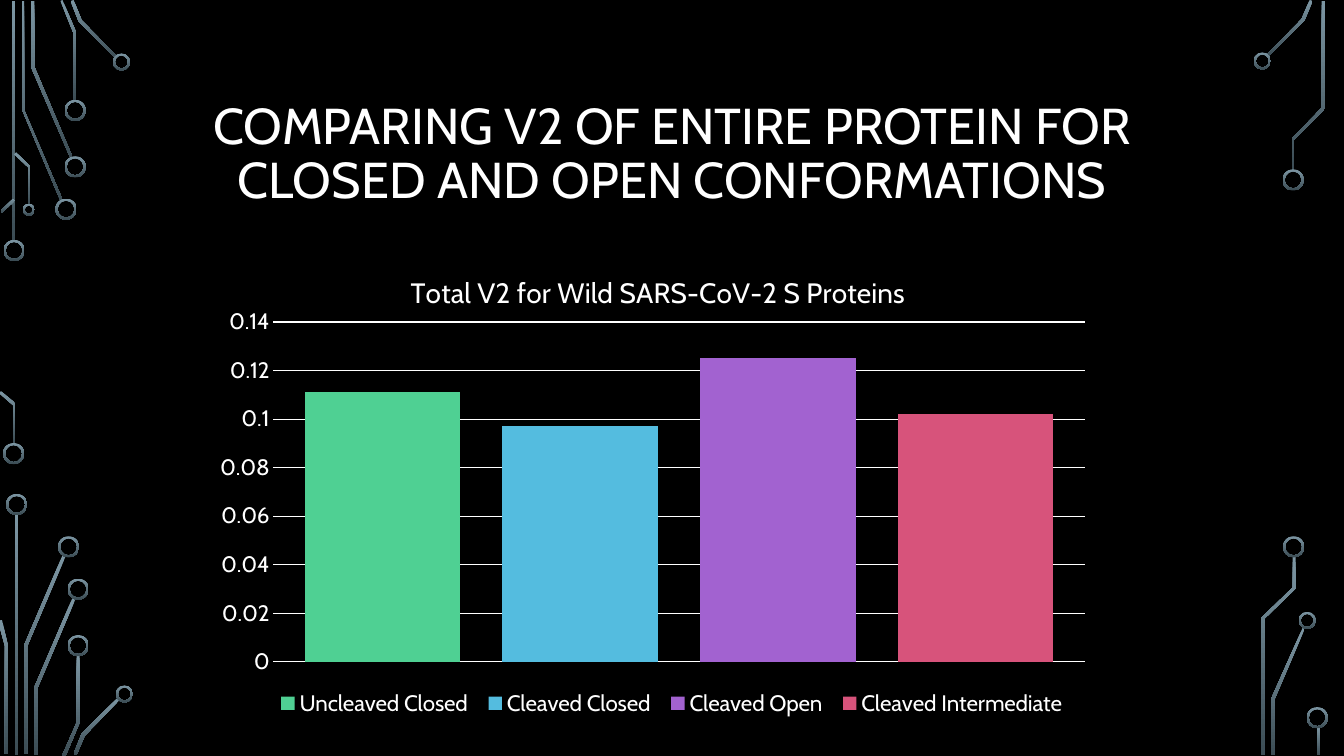
"""Builds the slide comparing V2 of spike protein conformations."""
from pptx import Presentation
from pptx.chart.data import CategoryChartData
from pptx.dml.color import RGBColor
from pptx.enum.chart import XL_CHART_TYPE as ChartType, XL_LEGEND_POSITION as LegendSide, XL_TICK_MARK as Tick
from pptx.enum.shapes import MSO_SHAPE as Preset
from pptx.enum.text import MSO_ANCHOR as Anchor, PP_ALIGN as Align
from pptx.oxml import parse_xml
from pptx.oxml.ns import nsdecls, qn
from pptx.util import Cm, Pt

RING_WIDTH = 0.02
RINGS = [
    (0.14, 2.485, 0.21), (0.135, 4.5, 0.21), (0.655, 2.075, 0.21), (0.745, 1.655, 0.21),
    (0.745, 1.095, 0.21), (1.205, 0.615, 0.17), (0.285, 2.08, 0.12), (0.165, 5.005, 0.21),
    (0.68, 5.425, 0.21), (0.775, 5.845, 0.21), (0.775, 6.405, 0.21), (1.235, 6.885, 0.17),
    (12.52, 0.605, 0.17), (12.825, 1.785, 0.21), (12.965, 6.155, 0.17), (12.83, 5.425, 0.21),
    (13.065, 7.12, 0.21),
]
STEMS = [(0.12, 0.01, 0.03, 2.39), (0.15, 5.1, 0.03, 2.39), (13.06, 7.21, 0.03, 0.28)]
TRACES = [
    [(0.6, 1.99), (0.22, 1.09), (0.22, 0.01), (0.24, 0.01), (0.24, 1.09), (0.62, 1.98)],
    [(0.7, 1.57), (0.31, 0.67), (0.31, 0.01), (0.34, 0.01), (0.34, 0.66), (0.72, 1.56)],
    [(0.76, 1), (0.73, 1), (0.73, 0.33), (0.6, 0.01), (0.62, 0), (0.76, 0.33)],
    [(1.15, 0.58), (0.78, 0.21), (0.7, 0.01), (0.73, 0), (0.81, 0.2), (1.16, 0.56)],
    [(0.02, 2.11), (0.01, 2.09), (0.13, 1.97), (0.15, 1.99)],
    [(0.15, 4.41), (0.13, 4.41), (0.13, 4.02), (-0.01, 3.9), (0.01, 3.88), (0.15, 4)],
    [(0.3, 2.03), (0.28, 2.03), (0.28, 1.66), (0.14, 1.53), (0.16, 1.51), (0.3, 1.65)],
    [(0.27, 7.48), (0.24, 7.48), (0.24, 6.4), (0.62, 5.51), (0.65, 5.52), (0.27, 6.41)],
    [(0.08, 7.48), (0.05, 7.48), (0.05, 6.41), (-0.02, 6.16), (0.02, 6.15), (0.08, 6.41)],
    [(0.37, 7.49), (0.34, 7.49), (0.34, 6.82), (0.72, 5.93), (0.75, 5.94), (0.37, 6.83)],
    [(0.65, 7.5), (0.62, 7.49), (0.76, 7.17), (0.76, 6.5), (0.79, 6.5), (0.79, 7.17)],
    [(0.76, 7.49), (0.73, 7.48), (0.81, 7.28), (1.17, 6.92), (1.19, 6.94), (0.84, 7.3)],
    [(12.58, 0.56), (12.56, 0.55), (12.91, 0.19), (12.99, 0), (13.02, 0.01), (12.94, 0.2)],
    [(12.64, 7.49), (12.61, 7.49), (12.61, 6.93), (12.92, 6.23), (12.94, 6.24), (12.64, 6.94)],
    [(12.83, 1.69), (12.81, 1.69), (12.81, 1.38), (13.11, 1.07), (13.11, 0.01),
     (13.14, 0.01), (13.14, 1.08), (12.83, 1.39)],
    [(12.54, 7.49), (12.51, 7.49), (12.51, 6.13), (12.82, 5.83), (12.82, 5.52),
     (12.85, 5.52), (12.85, 5.84), (12.54, 6.14)],
]
PROTEINS = [
    ("Uncleaved Closed", 0.111, "4FD093"),
    ("Cleaved Closed", 0.097, "54BCDF"),
    ("Cleaved Open", 0.125, "A262D0"),
    ("Cleaved Intermediate", 0.102, "D7537B"),
]


def color(hex_code):
    return RGBColor.from_string(hex_code)


def cm(*inches):
    return [Cm(value * 2.54) for value in inches]


def style_font(font, size, face, hex_code):
    font.size, font.name, font.bold = Pt(size), face, False
    font.color.rgb = color(hex_code)


def write(frame, text, *, size, face, hex_code, align=Align.CENTER, spacing=None):
    paragraph = frame.paragraphs[0]
    paragraph.alignment = align
    paragraph.line_spacing = spacing
    run = paragraph.add_run()
    run.text = text
    style_font(run.font, size, face, hex_code)


def place(part, index, inner=False, **fractions):
    for old in part.findall(qn("c:layout")):
        part.remove(old)
    target = '<c:layoutTarget val="inner"/>' if inner else ""
    modes = '<c:xMode val="edge"/><c:yMode val="edge"/>'
    values = "".join(f'<c:{key} val="{value}"/>' for key, value in fractions.items())
    part.insert(index, parse_xml(
        f'<c:layout {nsdecls("c")}><c:manualLayout>{target}{modes}{values}</c:manualLayout></c:layout>'))


class CircuitSlide:
    face, ink, backdrop = "Cabin", "FFFFFF", "000000"
    metal = ("7C96A3", "3B4C54")

    def __init__(self, deck):
        self.slide = deck.slides.add_slide(deck.slide_layouts[6])
        self.shapes = self.slide.shapes
        fill = self.slide.background.fill
        fill.solid()
        fill.fore_color.rgb = color(self.backdrop)

    def plate(self, shape):
        shape.shadow.inherit = False
        shape.line.fill.background()
        shape.fill.gradient()
        shape.fill.gradient_angle = 270
        for stop, hex_code in zip(shape.fill.gradient_stops, self.metal):
            stop.color.rgb = color(hex_code)

    def stem(self, *box):
        self.plate(self.shapes.add_shape(Preset.RECTANGLE, *cm(*box)))

    def ring(self, x, y, size):
        ring = self.shapes.add_shape(Preset.DONUT, *cm(x - size / 2, y - size / 2, size, size))
        ring.adjustments[0] = RING_WIDTH / size
        self.plate(ring)

    def trace(self, corners):
        start, *rest = [cm(*corner) for corner in corners]
        builder = self.shapes.build_freeform(*start)
        builder.add_line_segments(rest)
        self.plate(builder.convert_to_shape())

    def title(self, text, *box):
        frame = self.shapes.add_textbox(*cm(*box)).text_frame
        frame.word_wrap = True
        frame.vertical_anchor = Anchor.MIDDLE
        write(frame, text, size=36, face=self.face, hex_code=self.ink, spacing=0.9)

    def columns(self, heading, proteins, *box):
        data = CategoryChartData()
        data.categories = ["1"]
        for name, value, _ in proteins:
            data.add_series(name, [value])
        chart = self.shapes.add_chart(ChartType.COLUMN_CLUSTERED, *cm(*box), data).chart
        style_font(chart.font, 16, self.face, self.ink)

        chart.has_title = True
        write(chart.chart_title.text_frame, heading, size=20, face=self.face, hex_code=self.ink)
        place(chart.chart_title._element, 1, x=0.23, y=0.06)

        plot = chart.plots[0]
        plot.gap_width, plot.overlap, plot.vary_by_categories = 40, -27, False
        for series, (_, _, hex_code) in zip(plot.series, proteins):
            series.invert_if_negative = False
            series.format.fill.solid()
            series.format.fill.fore_color.rgb = color(hex_code)
        place(chart._chartSpace.chart.plotArea, 0, inner=True, x=0.086, y=0.168, w=0.884, h=0.67)

        chart.category_axis.visible = False
        scale = chart.value_axis
        scale.minimum_scale, scale.maximum_scale, scale.major_unit = 0, 0.14, 0.02
        scale.major_tick_mark = scale.minor_tick_mark = Tick.NONE
        scale.format.line.fill.background()
        style_font(scale.tick_labels.font, 16, self.face, self.ink)
        grid = scale.major_gridlines.format.line
        grid.width = Pt(0.75)
        grid.color.rgb = color(self.ink)

        chart.has_legend = True
        legend = chart.legend
        legend.position, legend.include_in_layout = LegendSide.BOTTOM, False
        style_font(legend.font, 16, self.face, self.ink)
        place(legend._element, 1, x=0.08, y=0.88, w=0.88, h=0.08)


def main():
    deck = Presentation()
    deck.slide_width, deck.slide_height = cm(13.33, 7.5)
    page = CircuitSlide(deck)
    for box in STEMS:
        page.stem(*box)
    for corners in TRACES:
        page.trace(corners)
    for ring in RINGS:
        page.ring(*ring)
    page.title("COMPARING V2 OF ENTIRE PROTEIN FOR CLOSED AND OPEN CONFORMATIONS",
               1.52, 0.73, 10.29, 1.62)
    page.columns("Total V2 for Wild SARS-CoV-2 S Proteins", PROTEINS, 1.93, 2.35, 9.1, 5.03)
    deck.save("out.pptx")


if __name__ == "__main__":
    main()
